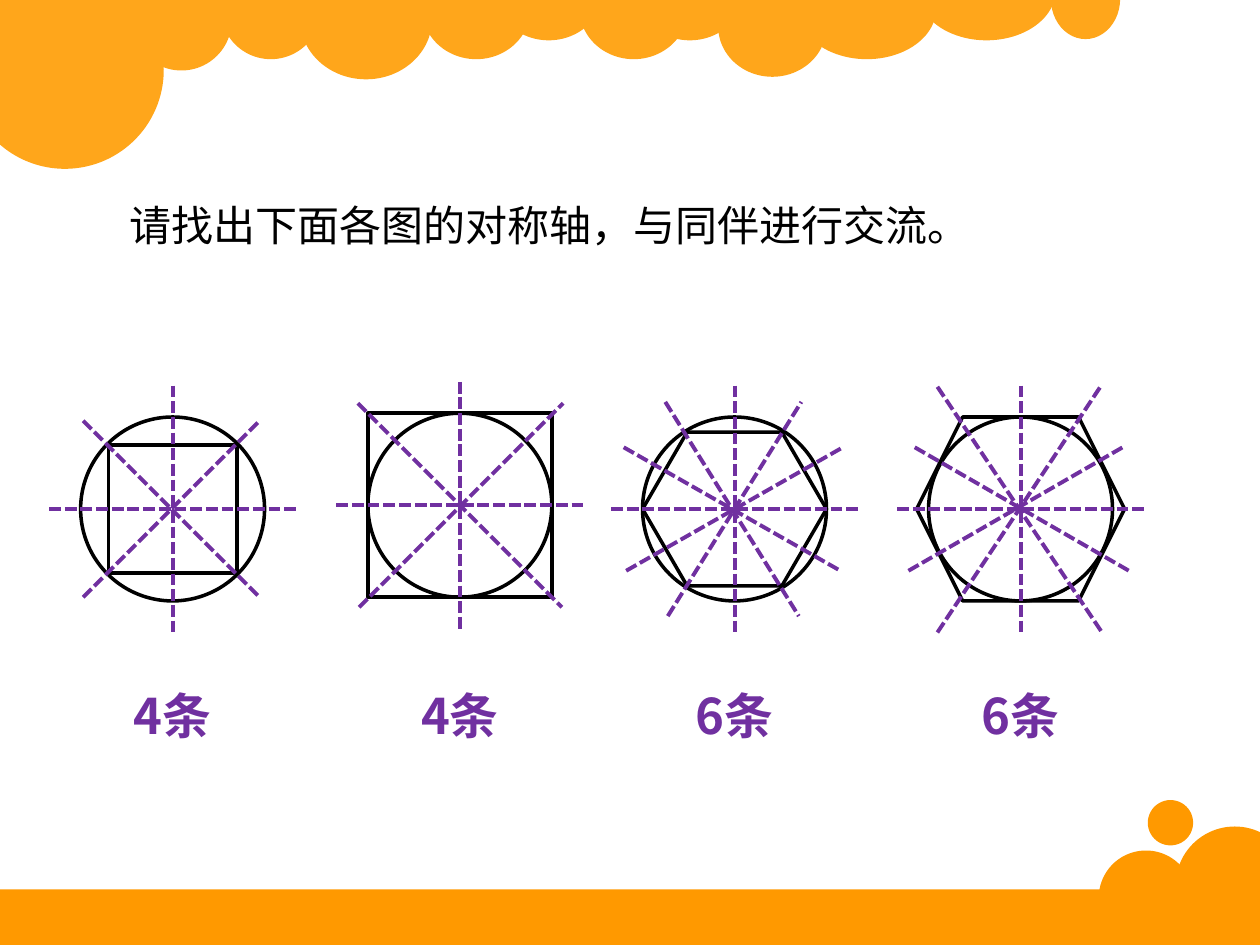
from lxml.etree import SubElement
from pptx import Presentation
from pptx.dml.color import RGBColor
from pptx.enum.dml import MSO_LINE
from pptx.enum.shapes import MSO_CONNECTOR, MSO_SHAPE
from pptx.enum.text import MSO_ANCHOR, MSO_AUTO_SIZE, PP_ALIGN
from pptx.oxml.ns import qn
from pptx.util import Inches, Pt

deck = Presentation()
deck.slide_width, deck.slide_height = Inches(10), Inches(7.5)
column = deck.slide_width / 10
slide = deck.slides.add_slide(deck.slide_layouts[5])
shapes = slide.shapes


def span(*columns):
    return [round(count * column) for count in columns]


def paint(fill, color):
    fill.solid()
    fill.fore_color.rgb = RGBColor.from_string(color)


cloud = [
    (-0.27, -0.23, 1.57, 1.57), (1.04, -0.24, 0.8, 0.8), (1.75, -0.33, 0.8, 0.8),
    (2.38, -0.33, 1.05, 0.96), (3.35, -0.33, 0.86, 0.8), (3.92, -0.48, 0.87, 0.8),
    (4.6, -0.33, 0.86, 0.8), (5.04, -0.48, 0.87, 0.8), (5.7, -0.19, 0.86, 0.8),
    (6.33, -0.33, 1.1, 0.8), (7.28, -0.48, 1.1, 0.8), (8.34, -0.33, 0.55, 0.64),
]
bubbles = [(9.33, 6.56, 0.94, 0.94), (9.11, 6.35, 0.36, 0.36), (8.72, 6.75, 0.75, 0.75)]
decoration = [(MSO_SHAPE.OVAL, puff, "FFA61B") for puff in cloud]
decoration.append((MSO_SHAPE.RECTANGLE, (-0.11, 7.06, 10.11, 0.44), "FF9900"))
decoration += [(MSO_SHAPE.OVAL, bubble, "FF9900") for bubble in bubbles]
for outline, area, color in decoration:
    ornament = shapes.add_shape(outline, *span(*area))
    ornament.shadow.inherit = False
    paint(ornament.fill, color)
    ornament.line.fill.background()

question = shapes.title
question.left, question.top, question.width, question.height = span(0.93, 1.33, 8.43, 0.7)
question.text = "请找出下面各图的对称轴，与同伴进行交流。"
frame_format = {"word_wrap": True, "auto_size": MSO_AUTO_SIZE.NONE, "vertical_anchor": MSO_ANCHOR.TOP}
for key, value in frame_format.items():
    setattr(question.text_frame, key, value)
sentence = question.text_frame.paragraphs[0]
sentence.alignment = PP_ALIGN.LEFT
sentence.line_spacing = 1.5
for key, value in {"size": Pt(24), "name": "Arial", "bold": False}.items():
    setattr(sentence.runs[0].font, key, value)
paint(sentence.runs[0].font.fill, "000000")

diameter = 1.46
figures = [
    {"center": (1.37, 4.04), "polygon": MSO_SHAPE.RECTANGLE, "size": (1.02, 1.02),
     "diagonals": [(0.7, 0.7, -0.01), (0.7, -0.7, -0.01)], "answer": "4条"},
    {"center": (3.65, 4.01), "polygon": MSO_SHAPE.RECTANGLE, "size": (1.46, 1.46),
     "diagonals": [(0.81, 0.81, 0), (0.81, -0.81, 0.01)], "answer": "4条"},
    {"center": (5.83, 4.04), "polygon": MSO_SHAPE.HEXAGON, "size": (1.46, 1.22), "inset": 0.29,
     "diagonals": [(0.53, 0.85, -0.02), (0.53, -0.85, 0),
                   (0.86, 0.49, -0.02), (0.86, -0.49, 0)], "answer": "6条"},
    {"center": (8.1, 4.04), "polygon": MSO_SHAPE.HEXAGON, "size": (1.65, 1.46), "inset": 0.25,
     "diagonals": [(0.65, 0.97, -0.01), (0.65, -0.98, -0.01),
                   (0.85, 0.49, 0.01), (0.85, -0.49, -0.04)], "answer": "6条"},
]
answer_format = {"size": Pt(28), "name": "Noto Sans CJK SC", "bold": True}

for figure in figures:
    x, y = figure["center"]
    for outline, (width, height) in [
        (figure["polygon"], figure["size"]),
        (MSO_SHAPE.OVAL, (diameter, diameter)),
    ]:
        contour = shapes.add_shape(outline, *span(x - width / 2, y - height / 2, width, height))
        contour.shadow.inherit = False
        contour.fill.background()
        paint(contour.line.fill, "000000")
        contour.line.width = Pt(2)
        if outline == MSO_SHAPE.HEXAGON:
            contour.adjustments[0] = figure["inset"]

    for reach, rise, shift in [(0, 0.98, 0), (0.98, 0, 0)] + figure["diagonals"]:
        middle = x + shift
        axis = shapes.add_connector(
            MSO_CONNECTOR.STRAIGHT, *span(middle - reach, y - rise, middle + reach, y + rise))
        paint(axis.line.fill, "7030A0")
        axis.line.width = Pt(2.25)
        axis.line.dash_style = MSO_LINE.SQUARE_DOT
        SubElement(axis._element.spPr, qn("a:effectLst"))

    answer = shapes.add_textbox(*span(x - 0.46, 5.39, 0.92, 0.57))
    answer.text_frame.word_wrap = False
    count = answer.text_frame.paragraphs[0]
    count.alignment = PP_ALIGN.CENTER
    wording = count.add_run()
    wording.text = figure["answer"]
    for key, value in answer_format.items():
        setattr(wording.font, key, value)
    paint(wording.font.fill, "7030A0")
    SubElement(wording.font._element, qn("a:ea"), typeface=answer_format["name"])

deck.save("out.pptx")
